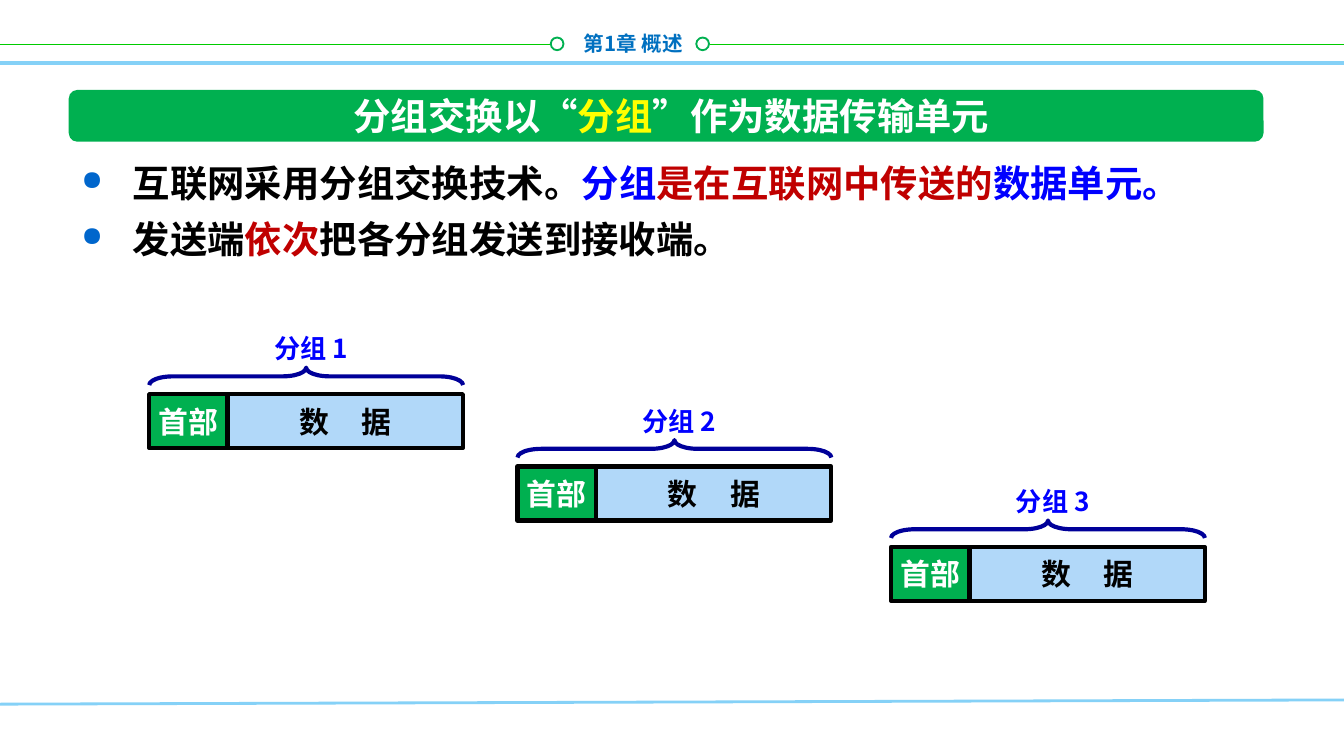
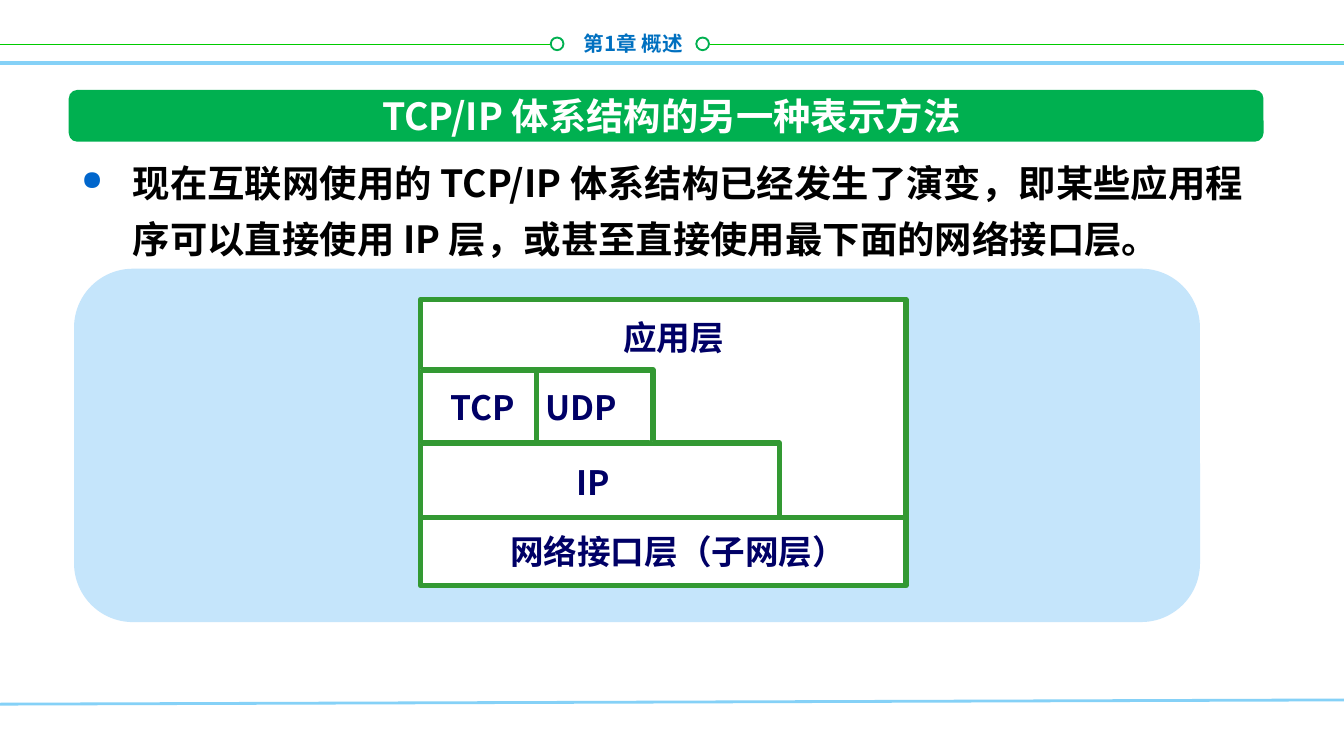
from lxml import etree
from pptx import Presentation
from pptx.dml.color import RGBColor
from pptx.enum.shapes import MSO_CONNECTOR, MSO_SHAPE, MSO_SHAPE_TYPE
from pptx.enum.text import MSO_ANCHOR, PP_ALIGN
from pptx.oxml.ns import qn
from pptx.util import Cm, Pt

STRAIGHT = MSO_CONNECTOR.STRAIGHT
RECTANGLE = MSO_SHAPE.RECTANGLE
ROUNDED = MSO_SHAPE.ROUNDED_RECTANGLE
OVAL = MSO_SHAPE.OVAL
BRACE = MSO_SHAPE.LEFT_BRACE
LINE = MSO_SHAPE_TYPE.LINE
LEFT, CENTER, RIGHT = PP_ALIGN.LEFT, PP_ALIGN.CENTER, PP_ALIGN.RIGHT
TOP, MIDDLE = MSO_ANCHOR.TOP, MSO_ANCHOR.MIDDLE

FONT = "Noto Sans CJK SC"
WHITE, BLACK = "FFFFFF", "000000"
GREEN, RULE_GREEN, STACK_GREEN = "00B050", "00CC00", "339933"
BLUE, RED, YELLOW = "0000FF", "C00000", "FFFF00"
CHAPTER_BLUE, BULLET_BLUE, SKY = "0070C0", "0066CC", "85D1F7"
DATA_BLUE, PANEL_BLUE = "B1D8F9", "C5E5FB"
BRACE_NAVY, STACK_NAVY = "000099", "000066"

colour = RGBColor.from_string


def paint(shape, fill=None, line=None, width=1):
    if line:
        shape.line.color.rgb = colour(line)
        shape.line.width = Pt(width)
    else:
        shape.line.fill.background()
    if shape.shape_type == LINE:
        etree.SubElement(shape._element.spPr, qn("a:effectLst"))
        return
    shape.shadow.inherit = False
    if fill:
        shape.fill.solid()
        shape.fill.fore_color.rgb = colour(fill)
    else:
        shape.fill.background()


def write(box, paragraphs, size, align=LEFT, anchor=TOP, wrap=False):
    frame = box.text_frame
    frame.word_wrap = wrap
    frame.vertical_anchor = anchor
    for index, spans in enumerate(paragraphs):
        para = frame.add_paragraph() if index else frame.paragraphs[0]
        para.alignment = align
        for text, shade in spans:
            span = para.add_run()
            span.text = text
            span.font.size = Pt(size)
            span.font.bold = True
            span.font.color.rgb = colour(shade)
            span.font.name = FONT
            etree.SubElement(span.font._element, qn("a:ea"), typeface=FONT)


deck = Presentation()
deck.slide_width, deck.slide_height = Cm(25.4), Cm(14.29)

contents = [
    (
        [("分组交换以“", WHITE), ("分组", YELLOW), ("”作为数据传输单元", WHITE)],
        [
            [
                ("互联网采用分组交换技术。", BLACK),
                ("分组", BLUE),
                ("是在互联网中传送的", RED),
                ("数据单元。", BLUE),
            ],
            [("发送端", BLACK), ("依次", RED), ("把各分组发送到接收端。", BLACK)],
        ],
    ),
    (
        [("TCP/IP 体系结构的另一种表示方法", WHITE)],
        [
            [
                (
                    "现在互联网使用的 TCP/IP 体系结构已经发生了演变，即某些应用"
                    "程序可以直接使用 IP 层，或甚至直接使用最下面的网络接口层。",
                    BLACK,
                )
            ]
        ],
    ),
]
rules = [
    (0, 0.84, 10.41, 0.84, RULE_GREEN, 1),
    (13.41, 0.84, 25.4, 0.84, RULE_GREEN, 1),
    (0, 13.31, 25.4, 13.23, SKY, 1.5),
    (0, 1.19, 25.4, 1.19, SKY, 2),
]

for title, points in contents:
    page = deck.slides.add_slide(deck.slide_layouts[6])
    for x1, y1, x2, y2, shade, width in rules:
        rule = page.shapes.add_connector(STRAIGHT, Cm(x1), Cm(y1), Cm(x2), Cm(y2))
        paint(rule, line=shade, width=width)
    for left in (10.41, 13.16):
        ring = page.shapes.add_shape(OVAL, Cm(left), Cm(0.71), Cm(0.24), Cm(0.24))
        paint(ring, WHITE, GREEN)
    chapter = page.shapes.add_textbox(Cm(9.76), Cm(0.46), Cm(3.4), Cm(0.71))
    write(chapter, [[("第1章 概述", CHAPTER_BLUE)]], 11, RIGHT, wrap=True)

    band = page.shapes.add_shape(ROUNDED, Cm(1.3), Cm(1.7), Cm(22.58), Cm(0.98))
    paint(band, GREEN)
    heading = page.shapes.add_textbox(Cm(3.48), Cm(1.69), Cm(18.42), Cm(0.98))
    write(heading, [title], 20, CENTER, MIDDLE, True)

    body = page.shapes.add_textbox(Cm(1.29), Cm(2.69), Cm(22.58), Cm(9.42))
    write(body, points, 20, wrap=True)
    for para in body.text_frame.paragraphs:
        properties = para._p.get_or_add_pPr()
        properties.set("marL", str(Cm(0.97)))
        properties.set("indent", str(-Cm(0.97)))
        tint = etree.SubElement(properties, qn("a:buClr"))
        etree.SubElement(tint, qn("a:srgbClr"), val=BULLET_BLUE)
        etree.SubElement(properties, qn("a:buSzPct"), val="73000")
        etree.SubElement(properties, qn("a:buChar"), char="●")
        para.line_spacing = Pt(30)

packet_page, stack_page = deck.slides

packets = [(2.82, 7.45), (9.78, 8.82), (16.84, 10.34)]
for number, (left, top) in enumerate(packets, 1):
    data = packet_page.shapes.add_shape(
        RECTANGLE, Cm(left + 1.49), Cm(top), Cm(4.44), Cm(1.02)
    )
    paint(data, DATA_BLUE, BLACK, 2.25)
    write(data, [[("数", BLACK), (" ", BLACK), ("据", BLACK)]], 16, CENTER, MIDDLE)
    gap = data.text_frame.paragraphs[0].runs[1]
    gap.font._element.set("spc", "1400")

    header = packet_page.shapes.add_shape(
        RECTANGLE, Cm(left), Cm(top), Cm(1.48), Cm(1.02)
    )
    paint(header, GREEN, BLACK, 2.25)
    write(header, [[("首部", WHITE)]], 16, CENTER, MIDDLE)

    brace = packet_page.shapes.add_shape(
        BRACE, Cm(left + 2.8), Cm(top - 3.3), Cm(0.33), Cm(5.93)
    )
    brace.rotation = 90
    brace.adjustments[0] = 1.344
    brace.adjustments[1] = 0.5
    paint(brace, line=BRACE_NAVY, width=2.25)

    label = packet_page.shapes.add_textbox(
        Cm(left + 2.11), Cm(top - 1.3), Cm(2.6), Cm(0.86)
    )
    write(label, [[(f"分组 {number}", BLUE)]], 14, anchor=MIDDLE)

panel = stack_page.shapes.add_shape(ROUNDED, Cm(1.4), Cm(5.08), Cm(21.28), Cm(6.68))
paint(panel, PANEL_BLUE)
stack_left, stack_width = 7.95, 9.17
stack = stack_page.shapes.add_shape(
    RECTANGLE, Cm(stack_left), Cm(5.66), Cm(stack_width), Cm(5.41)
)
paint(stack, WHITE, STACK_GREEN, 3)

for right, top in [(14.73, 8.38), (12.34, 6.99)]:
    builder = stack_page.shapes.build_freeform(Cm(stack_left), Cm(top))
    builder.add_line_segments(
        [(Cm(right), Cm(top)), (Cm(right), Cm(top + 1.35))], close=False
    )
    paint(builder.convert_to_shape(), WHITE, STACK_GREEN, 3)

dividers = [
    (stack_left, 9.78, stack_left + stack_width, 9.78),
    (10.14, 7.04, 10.14, 8.38),
]
for x1, y1, x2, y2 in dividers:
    divider = stack_page.shapes.add_connector(
        STRAIGHT, Cm(x1), Cm(y1), Cm(x2), Cm(y2)
    )
    paint(divider, line=STACK_GREEN, width=3)

layers = [
    ("TCP", 8.27, 7.19, 2.2),
    ("UDP", 10.06, 7.19, 2.2),
    ("IP", 10.64, 8.61, 1.6),
    ("应用层", 11.53, 5.87, 2.8),
    ("网络接口层（子网层）", 9.39, 9.91, 7.2),
]
for name, left, top, width in layers:
    layer = stack_page.shapes.add_textbox(Cm(left), Cm(top), Cm(width), Cm(1.02))
    write(layer, [[(name, STACK_NAVY)]], 18, wrap=True)

deck.save("out.pptx")
